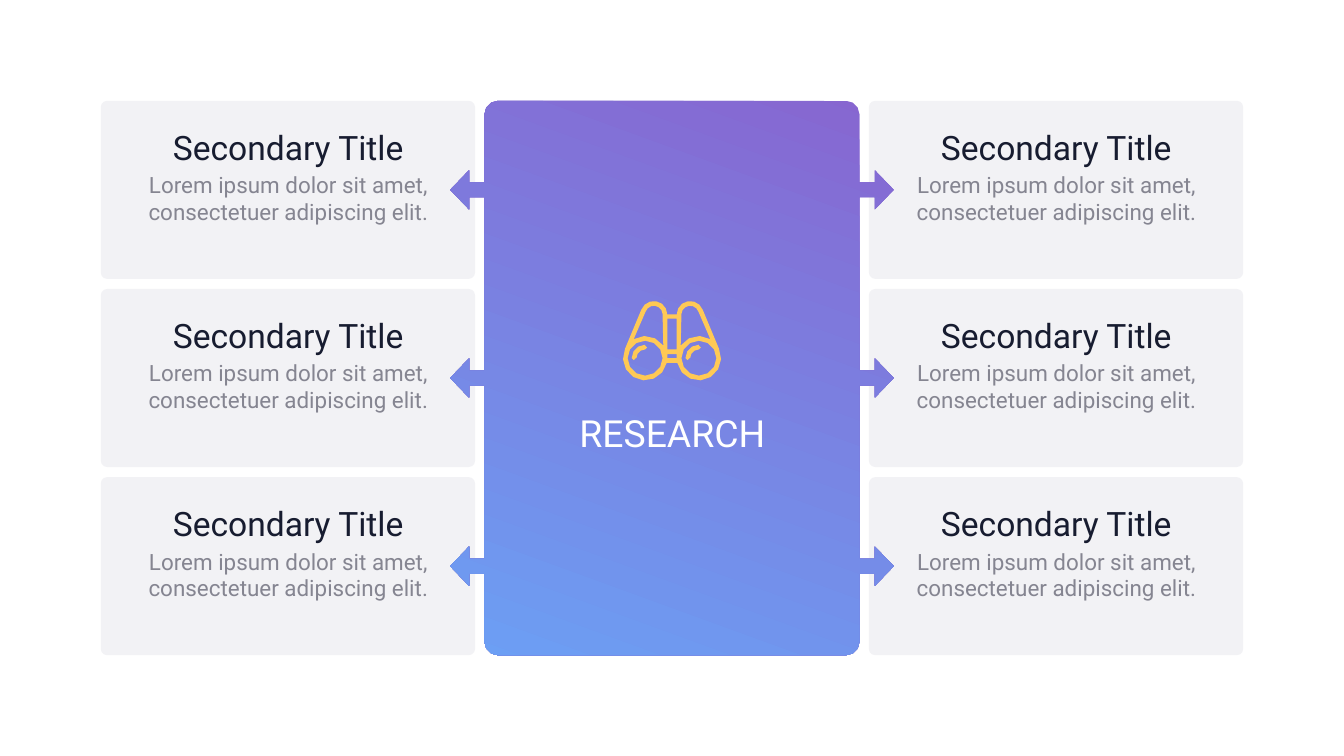
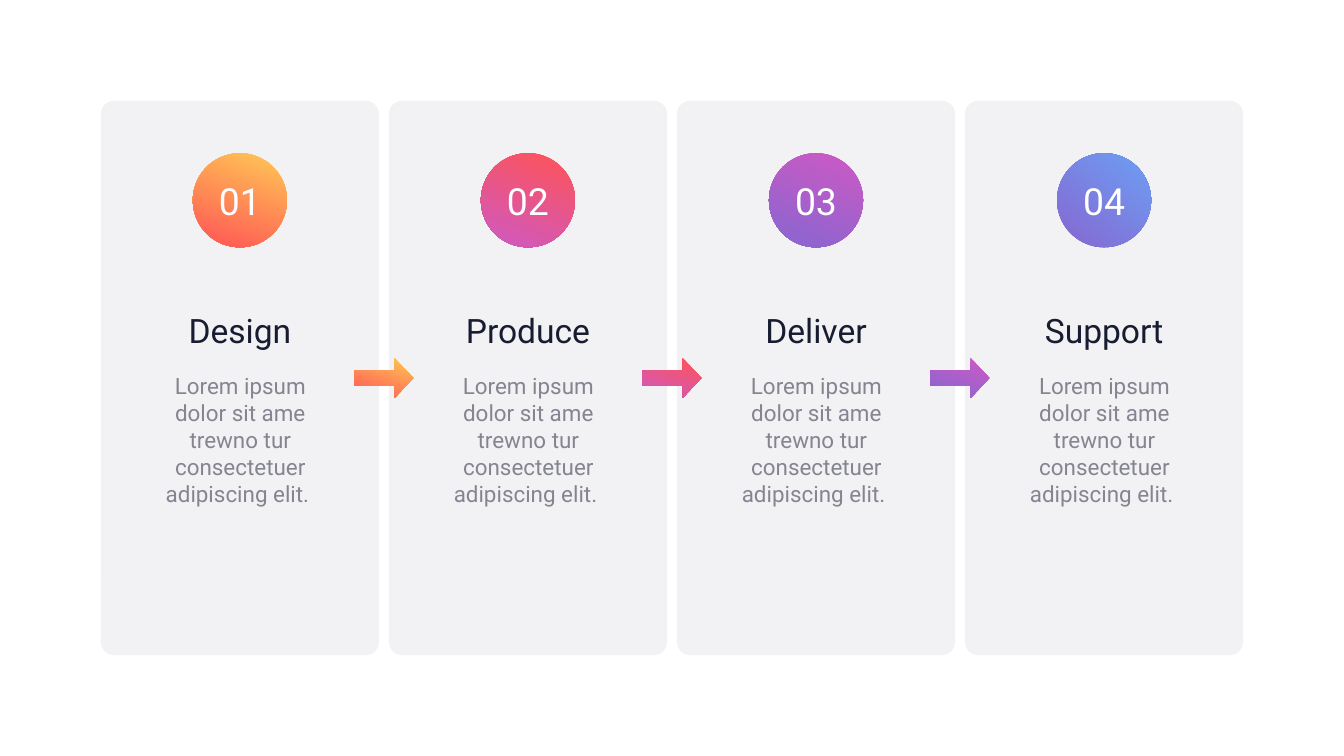
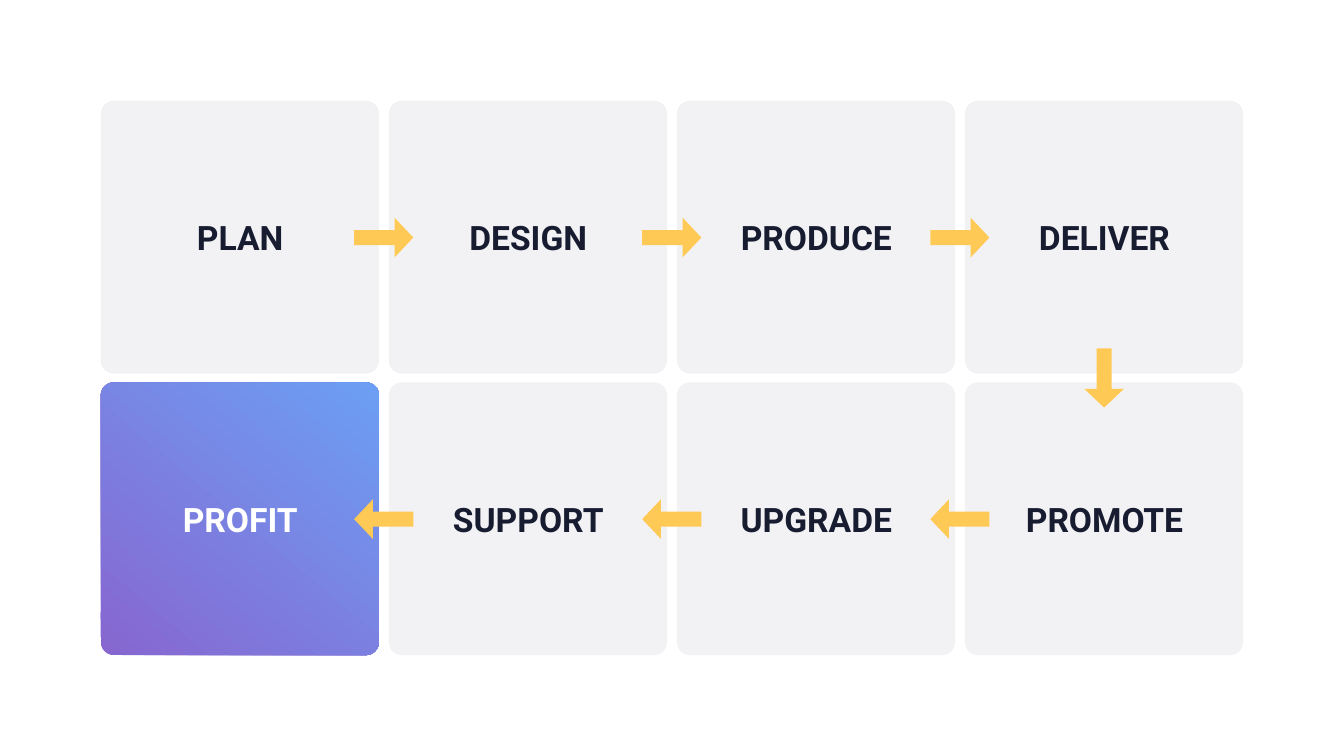
import math

import pptx
import pptx.dml.color
import pptx.enum.shapes
import pptx.enum.text
import pptx.util

Inches = pptx.util.Inches
PRESET = pptx.enum.shapes.MSO_SHAPE
RGBColor = pptx.dml.color.RGBColor

# Shared look
COLORS = {
    "card": "F2F2F5", "title": "171C30", "body": "858591", "white": "FFFFFF",
    "yellow": "FFC955", "red": "FF5355", "pink": "CE59C4",
    "purple": "8766D0", "blue": "6C9FF4",
}
FONT = "Roboto"
MARGIN, TOP, AREA_HEIGHT = 1.5, 1.5, 8.25
ARROW_WIDTH, ARROW_HEIGHT = 0.88, 0.59
ARROW_ADJUSTMENTS = (0.378, 0.471)
CARD_WIDTH = 4.14
COLUMN_STEP = (20 - 2 * MARGIN - CARD_WIDTH) / 3
COLUMNS = [MARGIN + COLUMN_STEP * column for column in range(4)]
ARROW_OFFSET = 3.77
CARD_CORNER = 0.048


def paint(shape, fill, *adjustments):
    """Fill with a colour name, or with (start, end, clockwise angle)."""
    shape.shadow.inherit = False
    shape.line.fill.background()
    for index, value in enumerate(adjustments):
        shape.adjustments[index] = value
    if isinstance(fill, str):
        shape.fill.solid()
        shape.fill.fore_color.rgb = RGBColor.from_string(COLORS[fill])
        return
    start, end, angle = fill
    shape.fill.gradient()
    shape.fill.gradient_angle = 360 - angle
    for stop, name, position in zip(shape.fill.gradient_stops, (start, end), (0, 1)):
        stop.color.rgb = RGBColor.from_string(COLORS[name])
        stop.position = position


def write(shape, text, size, color, bold=False):
    text_frame = shape.text_frame
    text_frame.word_wrap = True
    text_frame.text = text
    paragraph = text_frame.paragraphs[0]
    paragraph.alignment = pptx.enum.text.PP_ALIGN.CENTER
    font = paragraph.runs[0].font
    font.name, font.size, font.bold = FONT, pptx.util.Pt(size), bold
    font.color.rgb = RGBColor.from_string(COLORS[color])


presentation = pptx.Presentation()
presentation.slide_width, presentation.slide_height = Inches(20), Inches(11.25)
research, process, cycle = [
    presentation.slides.add_slide(presentation.slide_layouts[6]) for _ in range(3)
]

# Slide 1: six cards around the research panel
ROW_STEP, ROW_HEIGHT = 2.8, 2.65
rows = [TOP + ROW_STEP * row for row in range(3)]
card_spots = [(left, top) for left in (MARGIN, 12.93) for top in rows]
for left, top in card_spots:
    card = research.shapes.add_shape(
        PRESET.ROUNDED_RECTANGLE, Inches(left), Inches(top), Inches(5.57), Inches(ROW_HEIGHT))
    paint(card, "card", 0.036)

# Outlines hold points (x, y) and arcs (centre x, centre y, radius, start, end)
panel_half = [(12.59, 1.7, 0.2, 270, 360)]
for top in rows:
    middle = top + ROW_HEIGHT / 2
    panel_half += [(12.79, middle - 0.11), (13.02, middle - 0.11), (13.02, middle - 0.29),
                   (13.3, middle), (13.02, middle + 0.29), (13.02, middle + 0.11),
                   (12.79, middle + 0.11)]
panel_half.append((12.59, 9.55, 0.2, 0, 90))

silhouette_half = [(9.73, 4.68, 0.2, 360, 200), (9.6, 5.33, 0.33, 205, 12)]
lower_bar_half = [(9.93, 5.27), (9.93, 5.33)]
upper_bar_half = [(9.93, 4.74), (9.93, 5.2)]
lens = [(9.6, 5.33, 0.26, 360, 0)]
barrel = [(9.6, 5.33, 0.33, 325, 239), (9.73, 4.68, 0.13, 200, 355)]
glint = [(9.6, 5.33, 0.2, 270, 180), (9.43, 5.33, 0.03, 180, 0),
         (9.6, 5.33, 0.13, 180, 270), (9.6, 5.17, 0.03, 90, -90)]
LENS_STEP = 0.8

# "join" closes a half with its mirror image, "mirror" and "repeat" draw it twice
for fill, outlines in (
    (("purple", "blue", 110), [(panel_half, "join")]),
    ("yellow", [(silhouette_half, "join"), (lower_bar_half, "join"), (upper_bar_half, "join"),
                (lens, "repeat"), (barrel, "mirror"), (glint, "repeat")]),
):
    contours = []
    for outline, symmetry in outlines:
        points = []
        for part in outline:
            if len(part) == 2:
                points.append(part)
                continue
            center_x, center_y, radius, start, end = part
            steps = math.ceil(abs(end - start) / (30 if radius > 0.1 else 90))
            for step in range(steps + 1):
                angle = math.radians(start + (end - start) * step / steps)
                points.append((center_x + radius * math.cos(angle),
                               center_y + radius * math.sin(angle)))
        mirrored = [(20 - x, y) for x, y in reversed(points)]
        if symmetry == "join":
            contours.append(points + mirrored)
        elif symmetry == "mirror":
            contours += [points, mirrored]
        else:
            contours += [points, [(x + LENS_STEP, y) for x, y in points]]
    builder = None
    for contour in contours:
        first, *others = [(Inches(x), Inches(y)) for x, y in contour]
        if builder is None:
            builder = research.shapes.build_freeform(*first)
        else:
            builder.move_to(*first)
        builder.add_line_segments(others, close=True)
    paint(builder.convert_to_shape(), fill)

labels = [(7.68, 6.06, 4.65, 0.77, "RESEARCH", 40, "white")]
for left, top in card_spots:
    labels += [
        (left + 0.61, top + 0.34, 4.36, 0.71, "Secondary Title", 36, "title"),
        (left + 0.61, top + 1, 4.36, 0.91,
         "Lorem ipsum dolor sit amet, consectetuer adipiscing elit. ", 24, "body"),
    ]
for left, top, width, height, text, size, color in labels:
    label = research.shapes.add_textbox(Inches(left), Inches(top), Inches(width), Inches(height))
    write(label, text, size, color)

# Slide 2: four numbered steps
for left in COLUMNS:
    card = process.shapes.add_shape(
        PRESET.ROUNDED_RECTANGLE, Inches(left), Inches(TOP), Inches(CARD_WIDTH), Inches(AREA_HEIGHT))
    paint(card, "card", CARD_CORNER)

process_steps = [
    ("Design", ("yellow", "red", 110)),
    ("Produce", ("red", "pink", 110)),
    ("Deliver", ("pink", "purple", 110)),
    ("Support", ("purple", "blue", 310)),
]
for number, (left, (name, gradient)) in enumerate(zip(COLUMNS, process_steps), 1):
    circle = process.shapes.add_shape(
        PRESET.OVAL, Inches(left + 1.37), Inches(2.28), Inches(1.4), Inches(1.4))
    paint(circle, gradient)
    write(circle, f"{number:02}", 40, "white")
    title = process.shapes.add_textbox(Inches(left + 0.46), Inches(4.56), Inches(3.22), Inches(0.71))
    write(title, name, 36, "title")
    body = process.shapes.add_textbox(Inches(left + 0.62), Inches(5.49), Inches(2.91), Inches(1.72))
    write(body, "Lorem ipsum dolor sit ame trewno tur consectetuer adipiscing elit. ", 24, "body")
    if number < len(process_steps):
        arrow = process.shapes.add_shape(
            PRESET.RIGHT_ARROW, Inches(left + ARROW_OFFSET), Inches(5.33),
            Inches(ARROW_WIDTH), Inches(ARROW_HEIGHT))
        paint(arrow, gradient, *ARROW_ADJUSTMENTS)

# Slide 3: eight stages, right along the top row and back along the bottom row
stage_rows = [
    (TOP, 0, ["PLAN", "DESIGN", "PRODUCE", "DELIVER"]),
    (5.69, 180, ["PROFIT", "SUPPORT", "UPGRADE", "PROMOTE"]),
]
arrow_spots = [(15.99, 5.33, 90)]
for top, rotation, stages in stage_rows:
    for left, stage in zip(COLUMNS, stages):
        goal = stage == "PROFIT"
        card = cycle.shapes.add_shape(
            PRESET.ROUNDED_RECTANGLE, Inches(left), Inches(top), Inches(CARD_WIDTH), Inches(4.06))
        paint(card, ("purple", "blue", 310) if goal else "card", CARD_CORNER)
        label = cycle.shapes.add_textbox(
            Inches(left + 0.53), Inches(top + 1.68), Inches(3.09), Inches(0.71))
        write(label, stage, 36, "white" if goal else "title", bold=True)
    arrow_spots += [(left + ARROW_OFFSET, top + 1.74, rotation) for left in COLUMNS[:-1]]
for left, top, rotation in arrow_spots:
    arrow = cycle.shapes.add_shape(
        PRESET.RIGHT_ARROW, Inches(left), Inches(top), Inches(ARROW_WIDTH), Inches(ARROW_HEIGHT))
    arrow.rotation = rotation
    paint(arrow, "yellow", *ARROW_ADJUSTMENTS)

presentation.save("out.pptx")
